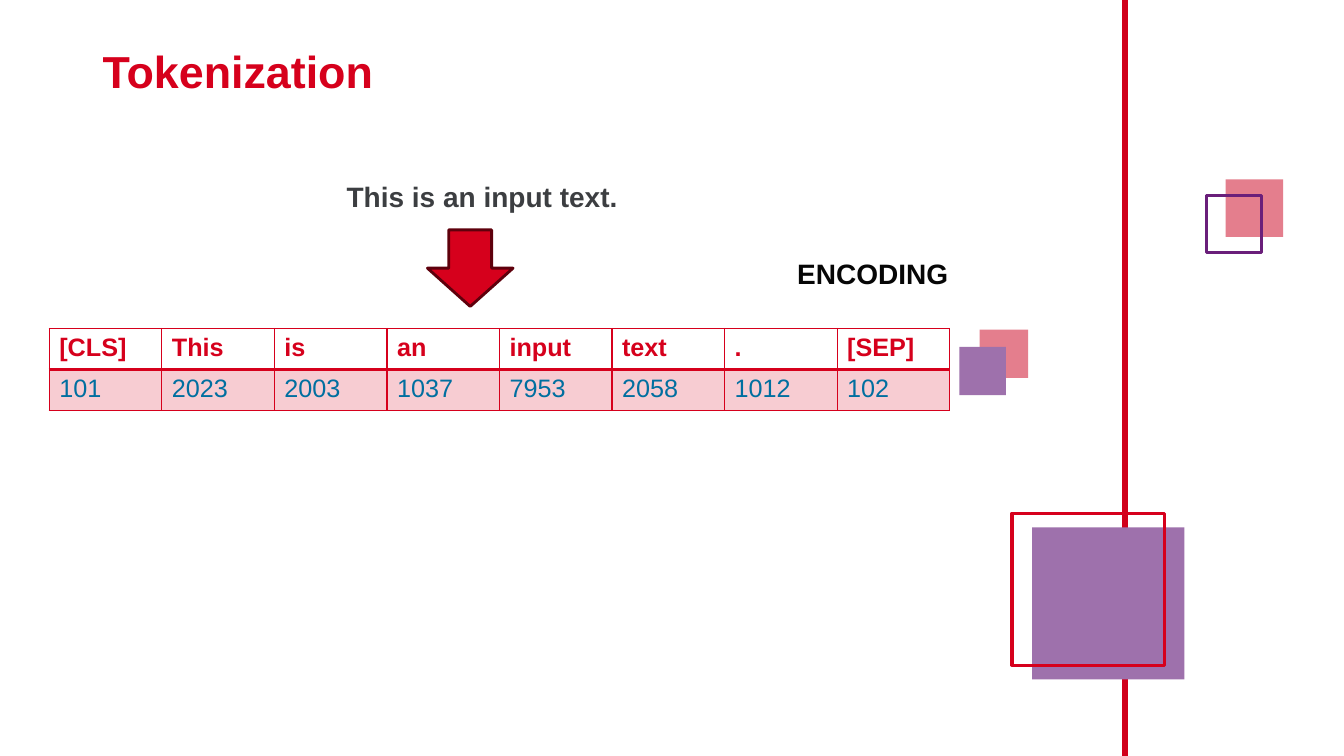
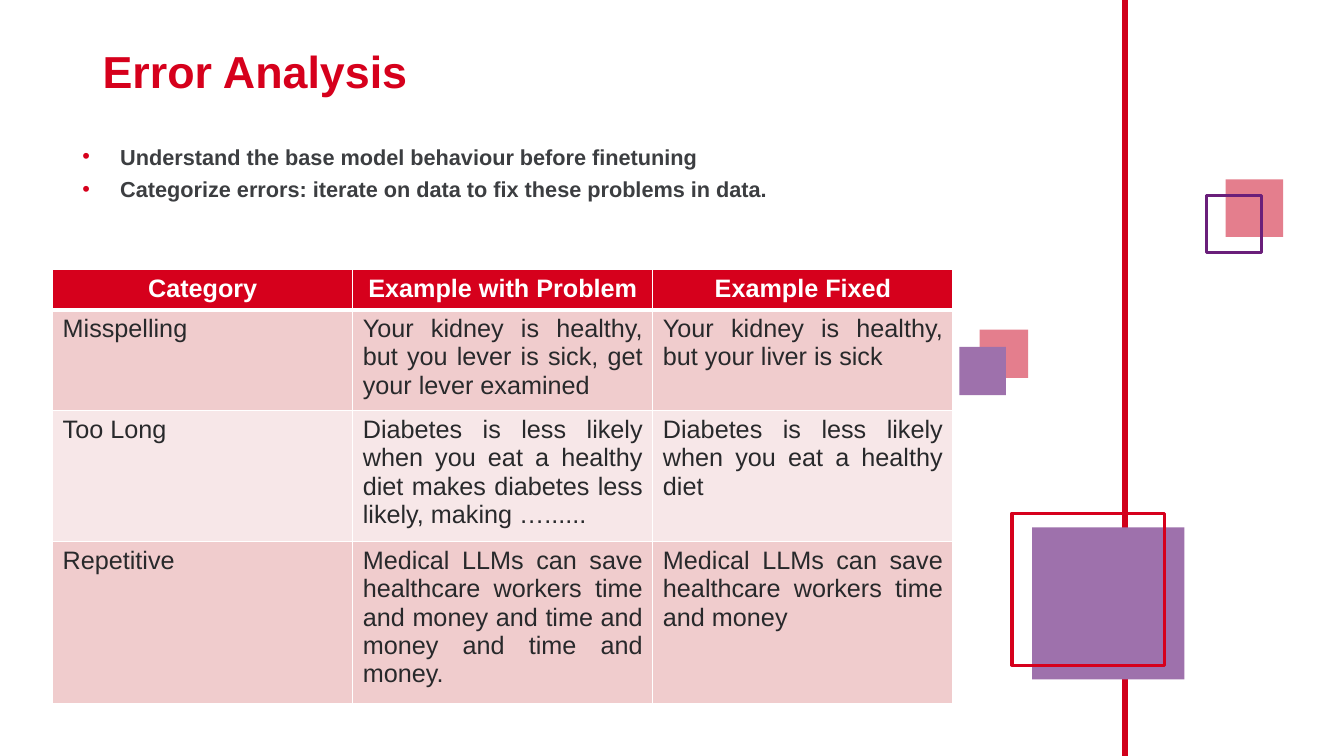
"""Build two slides on tokenization and error analysis."""
from dataclasses import dataclass
from lxml.etree import SubElement as Sub
from pptx import Presentation as Deck
from pptx.dml.color import RGBColor as Color
from pptx.enum.shapes import MSO_CONNECTOR as Link, MSO_SHAPE as Kind
from pptx.enum.text import MSO_ANCHOR as Anchor, PP_ALIGN as Align
from pptx.oxml.ns import qn
from pptx.util import Pt


@dataclass(frozen=True)
class Theme:
    font: str = "Arial"
    red: str = "D6001C"
    rule: str = "D1001B"
    dark: str = "5E000C"
    pink: str = "E47E8D"
    lilac: str = "9E71AC"
    purple: str = "6A1F7A"
    gray: str = "3C3E41"
    black: str = "060606"
    ink: str = "28292B"
    blue: str = "006FA0"
    white: str = "FFFFFF"
    tint: str = "F7CCD2"
    band: str = "F0CCCD"
    pale: str = "F7E7E8"
    title: float = 32
    lead: float = 20
    cell: float = 18
    point: float = 15.5


class Maker:
    def __init__(self, deck, theme):
        self.deck = deck
        self.theme = theme
        self.slide = None

    def page(self, title):
        t = self.theme
        self.slide = self.deck.slides.add_slide(self.deck.slide_layouts[6])
        self.rule(803.5, 0, 540)
        self.shape((737.3, 376.6, 108.7, 108.7), fill=t.lilac)
        self.shape((722.9, 366.5, 108.7, 108.7), line=t.red)
        self.shape((875.5, 128.2, 41, 41), fill=t.pink)
        self.shape((861.8, 139.7, 39.6, 41), line=t.purple)
        self.shape((699.8, 235.4, 34.6, 34.6), fill=t.pink)
        self.shape((685.4, 247.7, 33.1, 34.6), fill=t.lilac)
        self.text((66.2, 31.7, 550, 42.5), [title], t.title, t.red,
                  space=0.9, anchor=Anchor.MIDDLE)

    def rule(self, x, top, end):
        line = self.slide.shapes.add_connector(
            Link.STRAIGHT, Pt(x), Pt(top), Pt(x), Pt(end))
        line.line.color.rgb = Color.from_string(self.theme.rule)
        line.line.width = Pt(4.5)
        Sub(line._element.spPr, qn("a:effectLst"))

    def shape(self, box, fill=None, line=None, width=2.25, kind=Kind.RECTANGLE):
        shape = self.slide.shapes.add_shape(kind, *map(Pt, box))
        shape.shadow.inherit = False
        self.fill(shape, fill)
        if line:
            shape.line.color.rgb = Color.from_string(line)
            shape.line.width = Pt(width)
        else:
            shape.line.fill.background()

    def fill(self, item, color):
        if color:
            item.fill.solid()
            item.fill.fore_color.rgb = Color.from_string(color)
        else:
            item.fill.background()

    def style(self, para, size, color, bold=True):
        for run in para.runs:
            run.font.name = self.theme.font
            run.font.size = Pt(size)
            run.font.bold = bold
            run.font.color.rgb = Color.from_string(color)

    def text(self, box, lines, size, color, space=1.0, before=0,
             anchor=Anchor.TOP, dots=False):
        frame = self.slide.shapes.add_textbox(*map(Pt, box)).text_frame
        frame.word_wrap = True
        frame.vertical_anchor = anchor
        frame.text = "\n".join(lines)
        for para in frame.paragraphs:
            para.line_spacing = space
            para.space_before = Pt(before)
            self.style(para, size, color)
            if dots:
                self.dot(para)

    def dot(self, para):
        props = para._p.get_or_add_pPr()
        props.set("marL", str(Pt(27)))
        props.set("indent", str(Pt(-27)))
        tint = Sub(props, qn("a:buClr"))
        Sub(tint, qn("a:srgbClr"), val=self.theme.red)
        Sub(props, qn("a:buFont"), typeface=self.theme.font)
        Sub(props, qn("a:buChar"), char="•")

    def edge(self, cell, side, color, width):
        line = Sub(cell._tc.get_or_add_tcPr(), qn("a:ln" + side), w=str(Pt(width)))
        fill = Sub(line, qn("a:solidFill"))
        Sub(fill, qn("a:srgbClr"), val=color)

    def table(self, spot, wide, highs, rows, fills, inks, edge, heavy, aligns):
        grid = self.slide.shapes.add_table(
            len(rows), len(rows[0]), *map(Pt, (*spot, wide, sum(highs)))).table
        grid.first_row = grid.horz_banding = False
        for col in grid.columns:
            col.width = Pt(wide / len(rows[0]))
        for i, (row, high) in enumerate(zip(rows, highs)):
            head = i == 0
            grid.rows[i].height = Pt(high)
            for j, words in enumerate(row):
                cell = grid.cell(i, j)
                for side in "LRTB":
                    bold = (i, side) in ((0, "B"), (1, "T"))
                    self.edge(cell, side, edge, heavy if bold else 1)
                self.fill(cell, fills[i])
                cell.text_frame.text = words
                para = cell.text_frame.paragraphs[0]
                para.alignment = aligns[not head]
                self.style(para, self.theme.cell, inks[not head], head)


def tokens(make):
    t = make.theme
    make.page("Tokenization")
    make.text((240.5, 122.4, 231.8, 38.2), ["This is an input text."],
              t.lead, t.gray, 0.9, 10, Anchor.MIDDLE)
    make.table(
        (35.2, 234.7), 643.2, (29.2, 29.2),
        [["[CLS]", "This", "is", "an", "input", "text", ".", "[SEP]"],
         ["101", "2023", "2003", "1037", "7953", "2058", "1012", "102"]],
        (None, t.tint), (t.red, t.blue), t.red, 2, (Align.LEFT, Align.LEFT))
    make.shape((305.3, 164.2, 61.2, 54.7), t.red, t.dark, 2, Kind.DOWN_ARROW)
    make.text((562.3, 180, 182.2, 31.7), ["ENCODING"], t.lead, t.black)


def errors(make):
    t = make.theme
    make.page("Error Analysis")
    make.text((51.8, 103.7, 578.9, 44.6),
              ["Understand the base model behaviour before finetuning",
               "Categorize errors: iterate on data to fix these problems in data."],
              t.point, t.gray, 0.7, 10, Anchor.MIDDLE, True)
    make.table(
        (37.6, 192.5), 643.2, (27.8, 67, 88, 107),
        [["Category", "Example with Problem", "Example Fixed"],
         ["Misspelling",
          "Your kidney is healthy, but you lever is sick, get your lever examined",
          "Your kidney is healthy, but your liver is sick"],
         ["Too Long",
          "Diabetes is less likely when you eat a healthy diet makes diabetes "
          "less likely, making …......",
          "Diabetes is less likely when you eat a healthy diet"],
         ["Repetitive",
          "Medical LLMs can save healthcare workers time and money and time "
          "and money and time and money.",
          "Medical LLMs can save healthcare workers time and money"]],
        (t.red, t.band, t.pale, t.band), (t.white, t.ink), t.white, 3,
        (Align.CENTER, Align.JUSTIFY))


def main():
    deck = Deck()
    deck.slide_width, deck.slide_height = Pt(960), Pt(540)
    make = Maker(deck, Theme())
    tokens(make)
    errors(make)
    deck.save("out.pptx")


if __name__ == "__main__":
    main()
